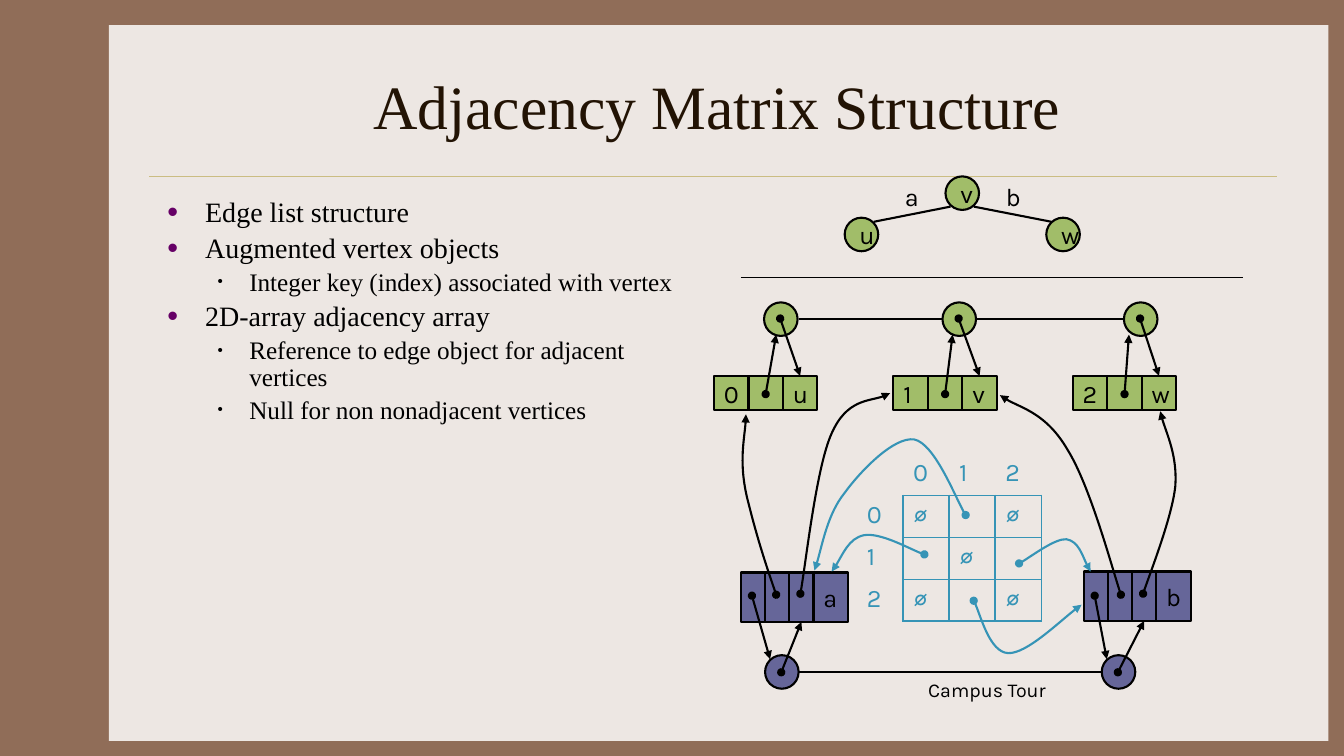
from dataclasses import dataclass
from itertools import product
from pptx import Presentation
from pptx.dml.color import RGBColor
from pptx.enum.shapes import MSO_CONNECTOR, MSO_SHAPE
from pptx.enum.text import MSO_ANCHOR, MSO_AUTO_SIZE, PP_ALIGN
from pptx.oxml.ns import qn
from pptx.util import Inches, Pt
from lxml.etree import SubElement


@dataclass(frozen=True)
class Theme:
    """Colours, fonts and sizes of the slide."""
    frame: str = "906D58"
    panel: str = "EDE7E3"
    rule: str = "CBBD83"
    title: str = "221304"
    ink: str = "000000"
    bullet: str = "660066"
    green: str = "A1BD69"
    purple: str = "666699"
    blue: str = "3694B6"
    serif: str = "Times New Roman"
    sans: str = "Karla"
    head: float = 44
    item: float = 20
    label: float = 18
    note: float = 14
    line: float = 1.5


T = Theme()
DOT = 3.33
CELL = 3.42


def grid(*cells):
    """Turn grid cells, ten to the inch, into lengths."""
    return [Inches(cell / 10) for cell in cells]


def rgb(name):
    """Turn a hex string into a colour."""
    return RGBColor.from_string(name)


def style(par, face, size, color, bold=False):
    """Set the font of a whole paragraph."""
    font = par.font
    font.name, font.size, font.bold = face, Pt(size), bold
    font.color.rgb = rgb(color)


def pen(line, color=T.ink, width=T.line, arrow=False):
    """Draw a line solid, with a dot and an arrowhead on request."""
    line.color.rgb = rgb(color)
    line.width = Pt(width)
    if arrow:
        ln = line._get_or_add_ln()
        SubElement(ln, qn("a:headEnd"), type="oval")
        SubElement(ln, qn("a:tailEnd"), type="triangle")


def put(shapes, kind, box, fill, text="", edge=True):
    """Add a filled preset shape with an optional letter."""
    shape = shapes.add_shape(kind, *grid(*box))
    shape.shadow.inherit = False
    shape.fill.solid()
    shape.fill.fore_color.rgb = rgb(fill)
    if edge:
        pen(shape.line)
    else:
        shape.line.fill.background()
    if text:
        frame = shape.text_frame
        frame.text, frame.word_wrap = text, False
        par = frame.paragraphs[0]
        par.alignment = PP_ALIGN.LEFT
        style(par, T.sans, T.label, T.ink)
    return shape


def dot(shapes, x, y, fill, text=""):
    """Add a round node."""
    return put(shapes, MSO_SHAPE.OVAL, (x, y, DOT, DOT), fill, text)


def link(shapes, ends, color=T.ink, width=T.line, arrow=False):
    """Add a straight connector."""
    line = shapes.add_connector(MSO_CONNECTOR.STRAIGHT, *grid(*ends))
    pen(line.line, color, width, arrow)
    SubElement(line._element.spPr, qn("a:effectLst"))
    return line


def curve(shapes, color, points):
    """Add a chain of cubic curves ending in an arrowhead."""
    start, *rest = [grid(*point) for point in points]
    maker = shapes.build_freeform(*start, scale=1.0)
    maker.add_line_segments(rest, close=False)
    shape = maker.convert_to_shape()
    legs = list(shape._element.iter(qn("a:lnTo")))
    for i in range(0, len(legs), 3):
        bend = SubElement(legs[i].getparent(), qn("a:cubicBezTo"))
        for leg in legs[i:i + 3]:
            bend.append(leg[0])
            leg.getparent().remove(leg)
    shape.shadow.inherit = False
    shape.fill.background()
    pen(shape.line, color, arrow=True)


def label(shapes, box, text, size):
    """Add a short free label."""
    frame = shapes.add_textbox(*grid(*box)).text_frame
    frame.text, frame.word_wrap = text, False
    style(frame.paragraphs[0], T.sans, size, T.ink)


def place(holder, box):
    """Move a placeholder and stop its text from shrinking."""
    holder.left, holder.top, holder.width, holder.height = grid(*box)
    holder.text_frame.auto_size = MSO_AUTO_SIZE.NONE
    return holder.text_frame


def listing(frame, items):
    """Fill the body with bulleted items of two levels."""
    looks = ((T.item, T.bullet, 110, 3.75, 3.75),
             (T.label, T.ink, 60, 8.13, 3.13))
    frame.vertical_anchor = MSO_ANCHOR.TOP
    frame.text = "\n".join(text for _, text in items)
    for par, (level, _) in zip(frame.paragraphs, items):
        size, color, share, left, hang = looks[level]
        props = par._p.get_or_add_pPr()
        left, hang = grid(left, hang)
        props.set("marL", str(left))
        props.set("indent", str(-hang))
        SubElement(SubElement(props, qn("a:spcBef")), qn("a:spcPct"), val="20000")
        SubElement(SubElement(props, qn("a:buClr")), qn("a:srgbClr"), val=color)
        SubElement(props, qn("a:buSzPct"), val=str(share * 1000))
        SubElement(props, qn("a:buChar"), char="•")
        par.level, par.line_spacing = level, 0.9
        style(par, T.serif, size, T.ink)


def border(cell, sides):
    """Draw the named sides of a cell and clear the others."""
    props = cell._tc.get_or_add_tcPr()
    for side in "LRTB":
        ln = SubElement(props, qn("a:ln" + side), w=str(Pt(T.line)))
        if side in sides:
            fill = SubElement(ln, qn("a:solidFill"))
            SubElement(fill, qn("a:srgbClr"), val=T.blue)
        else:
            SubElement(ln, qn("a:noFill"))


def matrix(shapes):
    """Add the adjacency matrix with its index row and column."""
    rows = (" 012", "0∅ ∅", "1 ∅ ", "2∅ ∅")
    table = shapes.add_table(4, 4, *grid(85, 45, 18.33, 16.65)).table
    table.first_row = table.horz_banding = False
    for r, c in product(range(4), repeat=2):
        cell, text = table.cell(r, c), rows[r][c].strip()
        cell.text = text
        style(cell.text_frame.paragraphs[0], T.sans, T.label, T.blue, text == "∅")
        border(cell, "LRTB" if r and c else "B" if c else "R" if r else "")
        cell.fill.background()


def graph(shapes):
    """Add the small graph on top."""
    for x, y, name in ((83.8, 21.6, "u"), (93.8, 17.5, "v"), (103.8, 21.6, "w")):
        dot(shapes, x, y, T.green, name)
    for ends in ((96.6, 20.5, 104.3, 22), (94.3, 20.5, 86.7, 22)):
        link(shapes, ends)
    for x, name in ((88.8, "a"), (98.8, "b")):
        label(shapes, (x, 17.5, 3.3, 4), name, T.label)


def vertex(shapes, key, name, node, tip):
    """Add a vertex record with its list node and references."""
    x = 70.83 + 17.8 * key
    dot(shapes, node, 30, T.green)
    cells = [put(shapes, MSO_SHAPE.RECTANGLE, (x + i * CELL, 37.3, CELL, CELL),
                 T.green, text) for i, text in enumerate((str(key), "", name))]
    down = link(shapes, (node + 1.6, 31.6, x + 2.5 * CELL, 37.3), arrow=True)
    down.end_connect(cells[2], 0)
    link(shapes, (x + 1.5 * CELL, 39.1, tip, 33.2), arrow=True)


def edge(shapes, x, y, node, name):
    """Add an edge record with its list node and references."""
    step = 2.4
    dot(shapes, node, 65, T.purple)
    cells = [put(shapes, MSO_SHAPE.RECTANGLE,
                 (x + i * step, y, CELL if text else step, 4.9), T.purple, text)
             for i, text in enumerate(("", "", "", name))]
    up = link(shapes, (node + 1.6, 66.7, x + 2.5 * step, y + 4.9), arrow=True)
    up.end_connect(cells[2], 2)
    link(shapes, (x + 1.1, 59.1, node + 0.5, 65.4), arrow=True)


def main():
    """Build the slide and save it."""
    deck = Presentation()
    deck.slide_width, deck.slide_height = grid(133.33, 75)
    slide = deck.slides.add_slide(deck.slide_layouts[1])
    shapes = slide.shapes
    slide.background.fill.solid()
    slide.background.fill.fore_color.rgb = rgb(T.frame)
    panel = put(shapes, MSO_SHAPE.RECTANGLE, (10.8, 2.5, 121, 71), T.panel, edge=False)
    shapes._spTree.insert(2, panel._element)
    link(shapes, (14.8, 17.5, 126.7, 17.5), T.rule, 0.25)

    head = place(shapes.title, (15.6, 4.2, 111.1, 12.5))
    head.text, head.vertical_anchor = "Adjacency Matrix Structure", MSO_ANCHOR.MIDDLE
    head.paragraphs[0].alignment = PP_ALIGN.CENTER
    style(head.paragraphs[0], T.serif, T.head, T.title)
    listing(place(slide.placeholders[1], (15.6, 19.2, 54.4, 45)), (
        (0, "Edge list structure"),
        (0, "Augmented vertex objects"),
        (1, "Integer key (index) associated with vertex"),
        (0, "2D-array adjacency array"),
        (1, "Reference to edge object for adjacent vertices"),
        (1, "Null for non nonadjacent vertices")))

    label(shapes, (91.1, 66.8, 42.2, 5), "Campus Tour", T.note)
    graph(shapes)
    link(shapes, (73.5, 27.5, 123.3, 27.5), width=0.75)
    matrix(shapes)
    link(shapes, (109.2, 66.7, 79.3, 66.7))
    link(shapes, (111.4, 31.65, 79.3, 31.65))
    for key, spot in enumerate((("u", 75.8, 77), ("v", 93.5, 94.5),
                                ("w", 111.5, 112))):
        vertex(shapes, key, *spot)
    edge(shapes, 73.5, 56.8, 75.9, "a")
    edge(shapes, 107.5, 56.7, 109.3, "b")

    for color, *points in (
        (T.ink, (79.4, 58.9), (79.9, 56.2), (81, 46.3), (82.5, 43),
         (84, 39.6), (87.1, 39.8), (88.3, 39)),
        (T.ink, (77, 59), (76.5, 57.5), (75.3, 54.1), (74.3, 50.1),
         (73.2, 46.1), (74, 43), (74, 41.1)),
        (T.ink, (111.2, 59), (110.4, 56.6), (108.1, 48.1), (105.9, 44.6),
         (103.8, 41), (100.6, 40.3), (99.2, 39.2)),
        (T.ink, (113.4, 58.9), (114, 57.1), (116.3, 51.2), (116.6, 48.2),
         (116.8, 45.2), (115.4, 42.3), (115.1, 40.8)),
        (T.blue, (91.7, 55), (90.7, 54.7), (87.3, 52.8), (85.7, 53.1),
         (84.2, 53.4), (83.2, 55.9), (82.5, 56.7)),
        (T.blue, (95.8, 51.1), (95, 49.9), (92.7, 44), (90.7, 43.6),
         (88.7, 43.3), (85.4, 46.7), (83.8, 48.9),
         (82.1, 51), (81.4, 55), (80.8, 56.6)),
        (T.blue, (101.1, 55.9), (101.9, 55.5), (104.7, 53.4), (105.8, 53.5),
         (107, 53.7), (107.7, 56), (108.2, 56.7)),
        (T.blue, (96.6, 59.6), (97.1, 60.4), (98.2, 64.7), (100, 64.8),
         (101.8, 64.9), (105.8, 61), (107.3, 60)),
    ):
        curve(shapes, color, points)
    deck.save("out.pptx")


if __name__ == "__main__":
    main()
